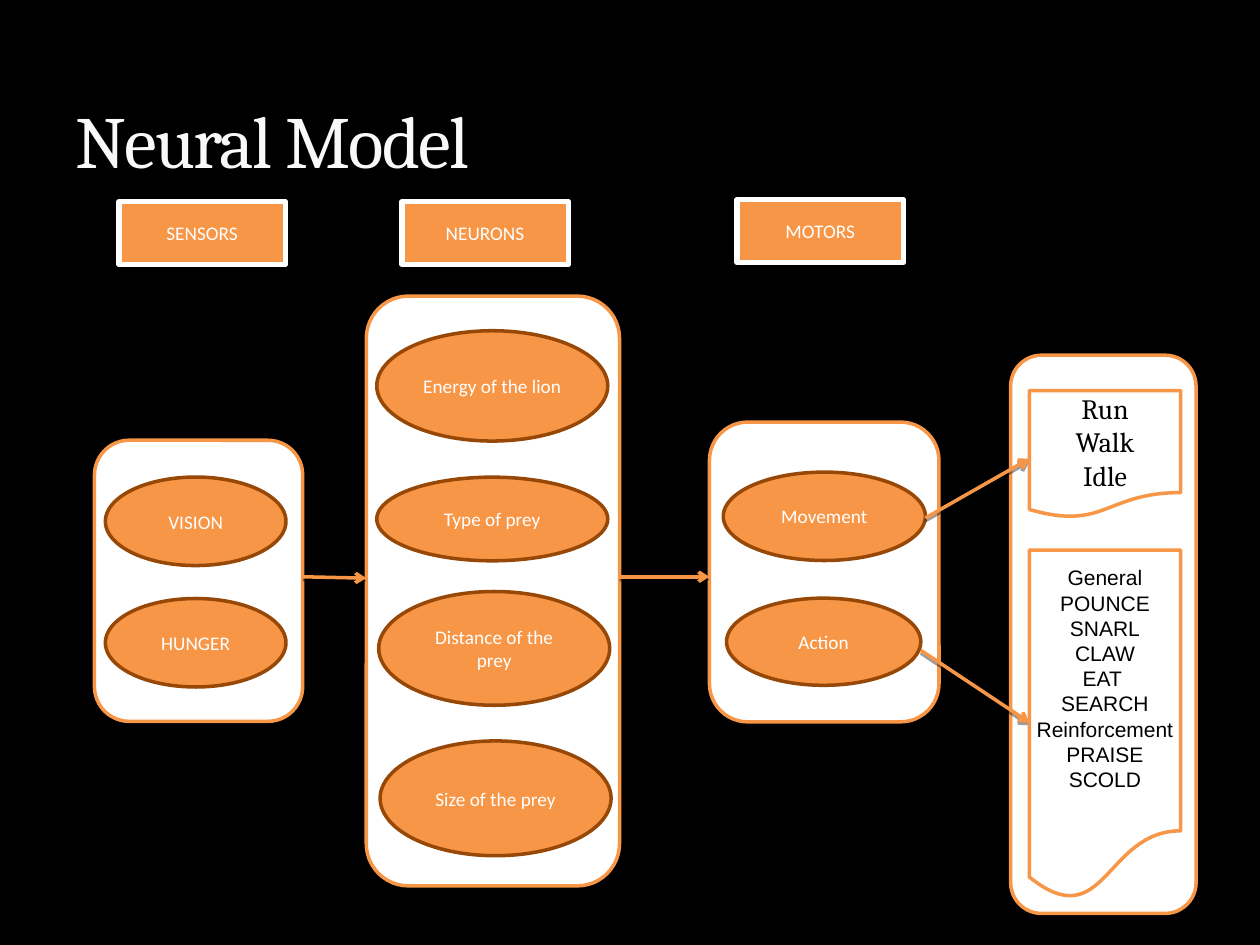
from lxml.etree import SubElement
from pptx import Presentation
from pptx.dml.color import RGBColor
from pptx.enum.shapes import MSO_CONNECTOR, MSO_SHAPE
from pptx.enum.text import MSO_ANCHOR, PP_ALIGN
from pptx.oxml.ns import qn
from pptx.util import Pt

BLACK = RGBColor(0x00, 0x00, 0x00)
WHITE = RGBColor(0xFF, 0xFF, 0xFF)
OFF_WHITE = RGBColor(0xF9, 0xF9, 0xF9)
ORANGE = RGBColor(0xF7, 0x96, 0x46)
BROWN = RGBColor(0x97, 0x47, 0x06)


class Diagram:
    """Draws the parts of the neural model on one slide, in points."""

    def __init__(self, page):
        self.page = page
        page.background.fill.solid()
        page.background.fill.fore_color.rgb = BLACK

    def add_lines(self, box, lines, font, size, color, align=PP_ALIGN.CENTER):
        frame = box.text_frame
        frame.word_wrap = True
        frame.vertical_anchor = MSO_ANCHOR.MIDDLE
        for number, line in enumerate(lines):
            para = frame.add_paragraph() if number else frame.paragraphs[0]
            para.text = line
            para.alignment = align
            para.font.name = font
            para.font.size = Pt(size)
            para.font.color.rgb = color
        return frame

    def shadow(self, effects):
        shade = SubElement(effects, qn("a:outerShdw"), blurRad="0",
                           dist=str(Pt(1.6)), dir="5400000", rotWithShape="0")
        tint = SubElement(shade, qn("a:srgbClr"), val=str(BLACK))
        SubElement(tint, qn("a:alpha"), val="38000")

    def shape(self, kind, place, fill, line, weight=2):
        box = self.page.shapes.add_shape(kind, *map(Pt, place))
        box.shadow.inherit = False
        if fill is None:
            box.fill.background()
        else:
            box.fill.solid()
            box.fill.fore_color.rgb = fill
        box.line.color.rgb = line
        box.line.width = Pt(weight)
        return box

    def title(self, text, place):
        box = self.page.shapes.add_textbox(*map(Pt, place))
        frame = self.add_lines(box, [text], "Cambria", 42, OFF_WHITE, PP_ALIGN.LEFT)
        frame.vertical_anchor = MSO_ANCHOR.BOTTOM
        span = frame.paragraphs[0].runs[0]
        span.font._element.set("spc", "-100")

    def panel(self, *place):
        self.shape(MSO_SHAPE.ROUNDED_RECTANGLE, place, WHITE, ORANGE)

    def node(self, text, *place):
        box = self.shape(MSO_SHAPE.OVAL, place, ORANGE, BROWN)
        self.add_lines(box, [text], "Calibri", 11, WHITE)

    def label(self, text, left, top):
        box = self.shape(MSO_SHAPE.RECTANGLE, (left, top, 95, 36), ORANGE, WHITE, 3)
        self.shadow(box._element.spPr.find(qn("a:effectLst")))
        self.add_lines(box, [text], "Calibri", 11, WHITE)

    def document(self, lines, place, font, size, fill=None, bottom=0):
        box = self.shape(MSO_SHAPE.FLOWCHART_DOCUMENT, place, fill, ORANGE)
        frame = self.add_lines(box, lines, font, size, BLACK)
        frame.margin_left = frame.margin_right = frame.margin_top = 0
        frame.margin_bottom = Pt(bottom)

    def arrow(self, *ends):
        link = self.page.shapes.add_connector(MSO_CONNECTOR.STRAIGHT, *map(Pt, ends))
        link.line.color.rgb = ORANGE
        link.line.width = Pt(2)
        SubElement(link.get_or_add_ln(), qn("a:tailEnd"), type="arrow")
        self.shadow(SubElement(link._element.spPr, qn("a:effectLst")))


deck = Presentation()
deck.slide_width, deck.slide_height = Pt(720), Pt(540)
diagram = Diagram(deck.slides.add_slide(deck.slide_layouts[6]))

# Title and column labels
diagram.title("Neural Model", (36, 12, 648, 96))
for text, left, top in (("SENSORS", 68, 115.2), ("NEURONS", 229.7, 115.2),
                        ("MOTORS", 421.2, 114)):
    diagram.label(text, left, top)

# Panels: sensors, neurons, motors, outcomes
for place in ((54, 251.6, 119, 160.6), (209.3, 169.2, 144.7, 337),
              (405.4, 241.2, 131.2, 171.3), (577.5, 203, 106, 319)):
    diagram.panel(*place)

# Nodes
for text, top in (("VISION", 272.6), ("HUNGER", 342)):
    diagram.node(text, 60.2, top, 103.2, 50.6)
for text, left, top, height in (("Energy of the lion", 215.3, 189, 63),
                                ("Type of prey", 215.3, 272.7, 47.8),
                                ("Distance of the prey", 216.4, 338, 65),
                                ("Size of the prey", 217.2, 423.4, 65.6)):
    diagram.node(text, left, top, 132, height)
diagram.node("Movement", 413.3, 269.8, 115.5, 50.5)
diagram.node("Action", 415.2, 341.8, 111, 49.8)

# Arrows
for ends in ((173, 329.6, 209.3, 330.4), (354, 329.6, 405.4, 329.6),
             (528.8, 296, 588.2, 262.2), (526.2, 371.6, 588.2, 412.8)):
    diagram.arrow(*ends)

# Outcome documents
diagram.document(["General", "POUNCE", "SNARL", "CLAW", "EAT ", "SEARCH",
                  "Reinforcement", "PRAISE", "SCOLD"],
                 (588.2, 314.4, 86.5, 200), "Arial", 12, bottom=14)
diagram.document(["Run", "Walk", "Idle"], (588.2, 223.2, 86.5, 72.7),
                 "Cambria", 16, WHITE)

deck.save("out.pptx")
